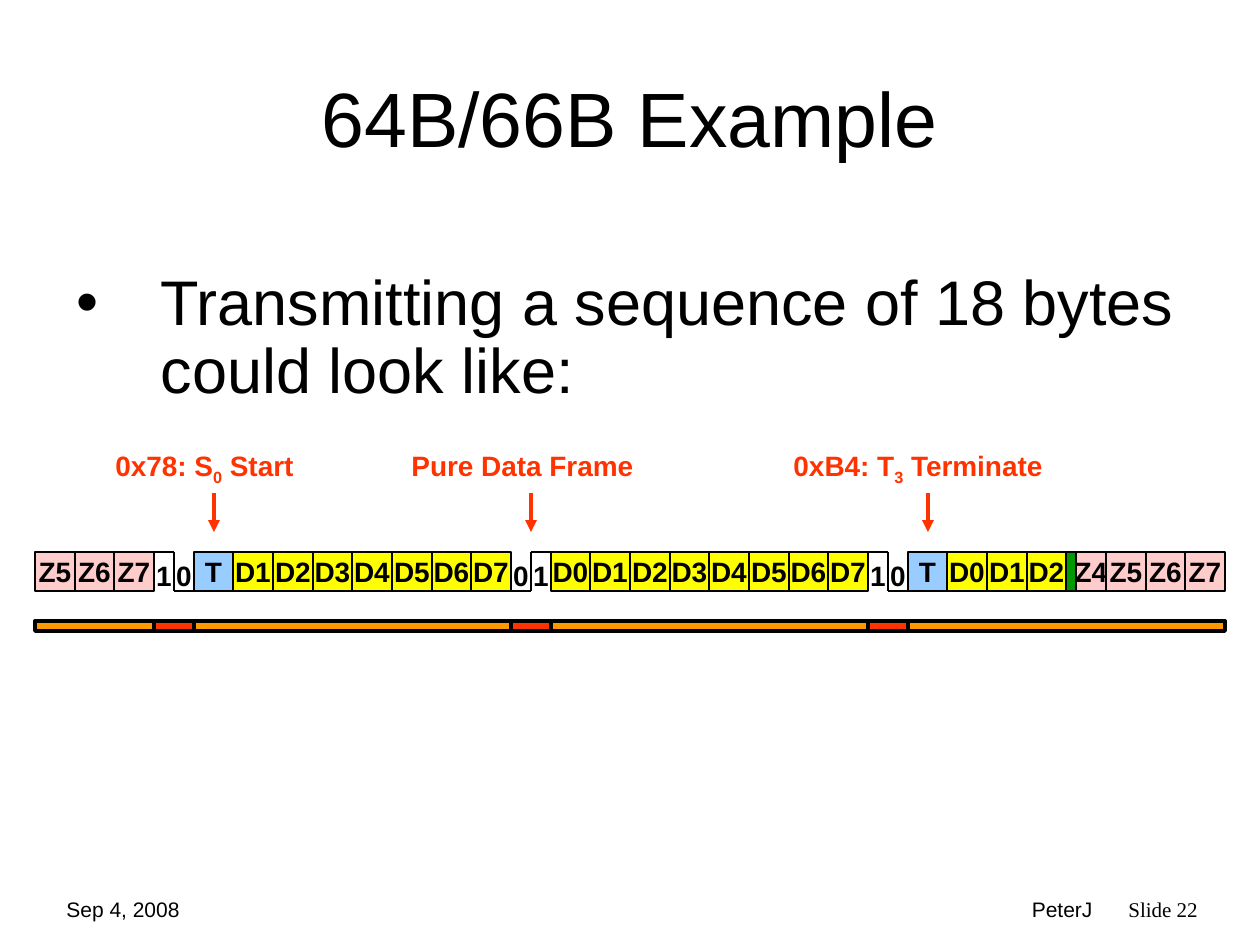
from lxml import etree
from pptx import Presentation
from pptx import util as u
from pptx.dml.color import RGBColor
from pptx.enum import shapes, text
from pptx.oxml.ns import qn

PX = 914400 // 126
COLORS = {"black": "000000", "idle": "FFCCCC", "data": "FFFF00", "type": "99CCFF",
          "end": "009900", "sync": "FF3300", "payload": "FF9900"}

TITLE = "64B/66B Example"
BULLET = "Transmitting a sequence of 18 bytes could look like:"
FOOTERS = [
    ("Sep 4, 2008", (54, 890, 183, 37), "Arial", "LEFT"),
    ("PeterJ", (799, 890, 306, 37), "Arial", "RIGHT"),
    ("Slide 22", (1116, 890, 118, 38), "Times New Roman", "LEFT"),
]
LABELS = [
    (("0x78: S", "0", " Start"), (103, 442, 203, 52)),
    (("Pure Data Frame",), (399, 442, 247, 47)),
    (("0xB4: T", "3", " Terminate"), (780, 442, 276, 52)),
]
FRAMES = [
    ("", "Z5 Z6 Z7"),
    ("10", "T D1 D2 D3 D4 D5 D6 D7"),
    ("01", "D0 D1 D2 D3 D4 D5 D6 D7"),
    ("10", "T D0 D1 D2 | Z4 Z5 Z6 Z7"),
]
KINDS = {"Z": "idle", "D": "data", "T": "type", "|": "end"}
QUARTERS = {"|": 1, "Z4": 3}
ROW_LEFT, ROW_WIDTH, ROW_QUARTERS = 35, 1190, 120
ROW_TOP, ROW_BOTTOM = 552, 591
BAR_TOP, BAR_HEIGHT = 621, 10
ARROW_TOP, ARROW_BOTTOM = 493, 532

prs = Presentation()
prs.slide_width, prs.slide_height = u.Inches(10), u.Inches(7.5)
slide = prs.slides.add_slide(prs.slide_layouts[1])


def px(*lengths):
    return [round(length) * PX for length in lengths]


def rgb(name):
    return RGBColor.from_string(COLORS[name])


def edge(quarter):
    return round(ROW_LEFT + quarter * ROW_WIDTH / ROW_QUARTERS)


def write(shape, *parts, size=16, font="Arial", bold=True, color="black",
          align="CENTER", anchor="TOP", wrap=False):
    frame = shape.text_frame
    frame.word_wrap = wrap
    frame.auto_size = text.MSO_AUTO_SIZE.NONE
    frame.vertical_anchor = getattr(text.MSO_ANCHOR, anchor)
    paragraph = frame.paragraphs[0]
    paragraph.alignment = getattr(text.PP_ALIGN, align)
    for i, part in enumerate(parts):
        run = paragraph.add_run()
        run.text = part
        run.font.size, run.font.name, run.font.bold = u.Pt(size), font, bold
        run.font.color.rgb = rgb(color)
        if i % 2:
            run.font._element.set("baseline", "-25000")
    return paragraph


def place(shape, *box):
    shape.left, shape.top, shape.width, shape.height = px(*box)
    return shape


def text_box(*box):
    return slide.shapes.add_textbox(*px(*box))


def block(left, right, top, height, fill, weight):
    rect = slide.shapes.add_shape(shapes.MSO_SHAPE.RECTANGLE,
                                  *px(left, top, right - left, height))
    rect.shadow.inherit = False
    rect.fill.solid()
    rect.fill.fore_color.rgb = rgb(fill)
    rect.line.color.rgb = rgb("black")
    rect.line.width = u.Pt(weight)
    return rect


def line(x1, y1, x2, y2, color="black", weight=1.5, arrow=False):
    connector = slide.shapes.add_connector(shapes.MSO_CONNECTOR.STRAIGHT,
                                           *px(x1, y1, x2, y2))
    connector.line.color.rgb = rgb(color)
    connector.line.width = u.Pt(weight)
    if arrow:
        etree.SubElement(connector.line._get_or_add_ln(), qn("a:tailEnd"), type="triangle")
    etree.SubElement(connector._element.spPr, qn("a:effectLst"))


def draw_sync(bits, quarter):
    middle = edge(quarter + 2)
    line(middle, ROW_TOP, middle, ROW_BOTTOM)
    for i, bit in enumerate(bits):
        start = quarter + 2 * i
        level = ROW_TOP if bit == "1" else ROW_BOTTOM
        line(edge(start), level, edge(start + 2), level)
        write(text_box(edge(start + 1) - 20, ROW_TOP, 40, 46), bit)
    block(edge(quarter), edge(quarter + 4), BAR_TOP, BAR_HEIGHT, "sync", 2.25)


def draw_frame(bits, codes, quarter):
    if bits:
        draw_sync(bits, quarter)
        pointer = quarter + (6 if codes[0] == "T" else 2)
        line(edge(pointer), ARROW_TOP, edge(pointer), ARROW_BOTTOM, "sync", 2.25, True)
        quarter += 4
    start = quarter
    for code in codes.split():
        end = quarter + QUARTERS.get(code, 4)
        cell = block(edge(quarter), edge(end), ROW_TOP, ROW_BOTTOM - ROW_TOP,
                     KINDS[code[0]], 1.5)
        if code != "|":
            write(cell, code, anchor="MIDDLE")
        quarter = end
    block(edge(start), edge(quarter), BAR_TOP, BAR_HEIGHT, "payload", 2.25)
    return quarter


title = place(slide.shapes.title, 63, 38, 1134, 157)
write(title, TITLE, size=44, bold=False, anchor="MIDDLE", wrap=True)

body = place(slide.placeholders[1], 64, 265, 1134, 159)
bullet = write(body, BULLET, size=36, bold=False, align="LEFT", wrap=True)
bullet.line_spacing = 0.9
bullet.space_before = u.Pt(0)
hanging = 84 * PX
bullet_format = bullet._p.get_or_add_pPr()
bullet_format.set("marL", str(hanging))
bullet_format.set("indent", str(-hanging))

for words, box, font, align in FOOTERS:
    write(text_box(*box), words, size=12, font=font, bold=False, align=align, wrap=True)

for parts, box in LABELS:
    write(text_box(*box), *parts, color="sync")

position = 0
for sync_bits, frame_codes in FRAMES:
    position = draw_frame(sync_bits, frame_codes, position)

prs.save("out.pptx")
